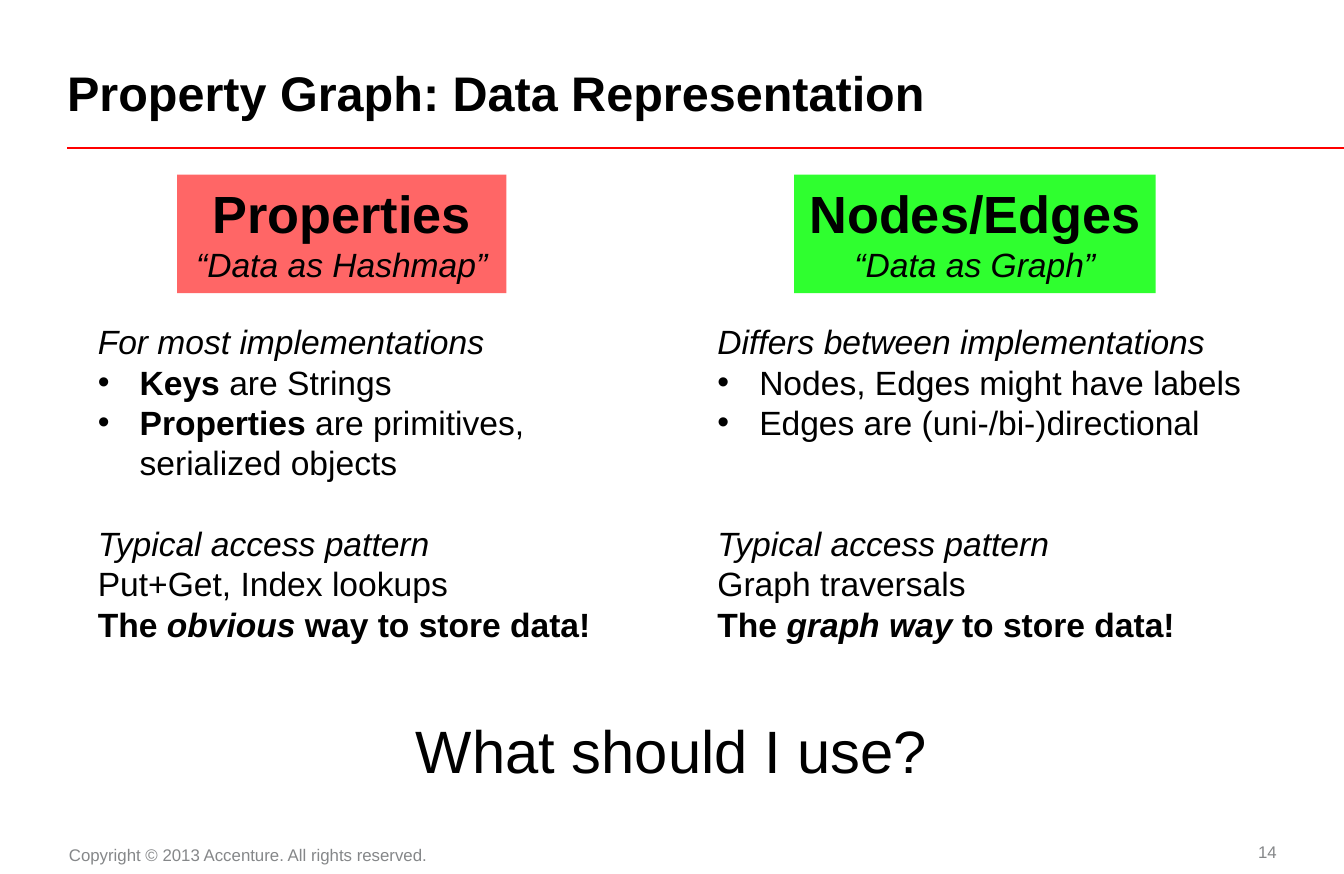
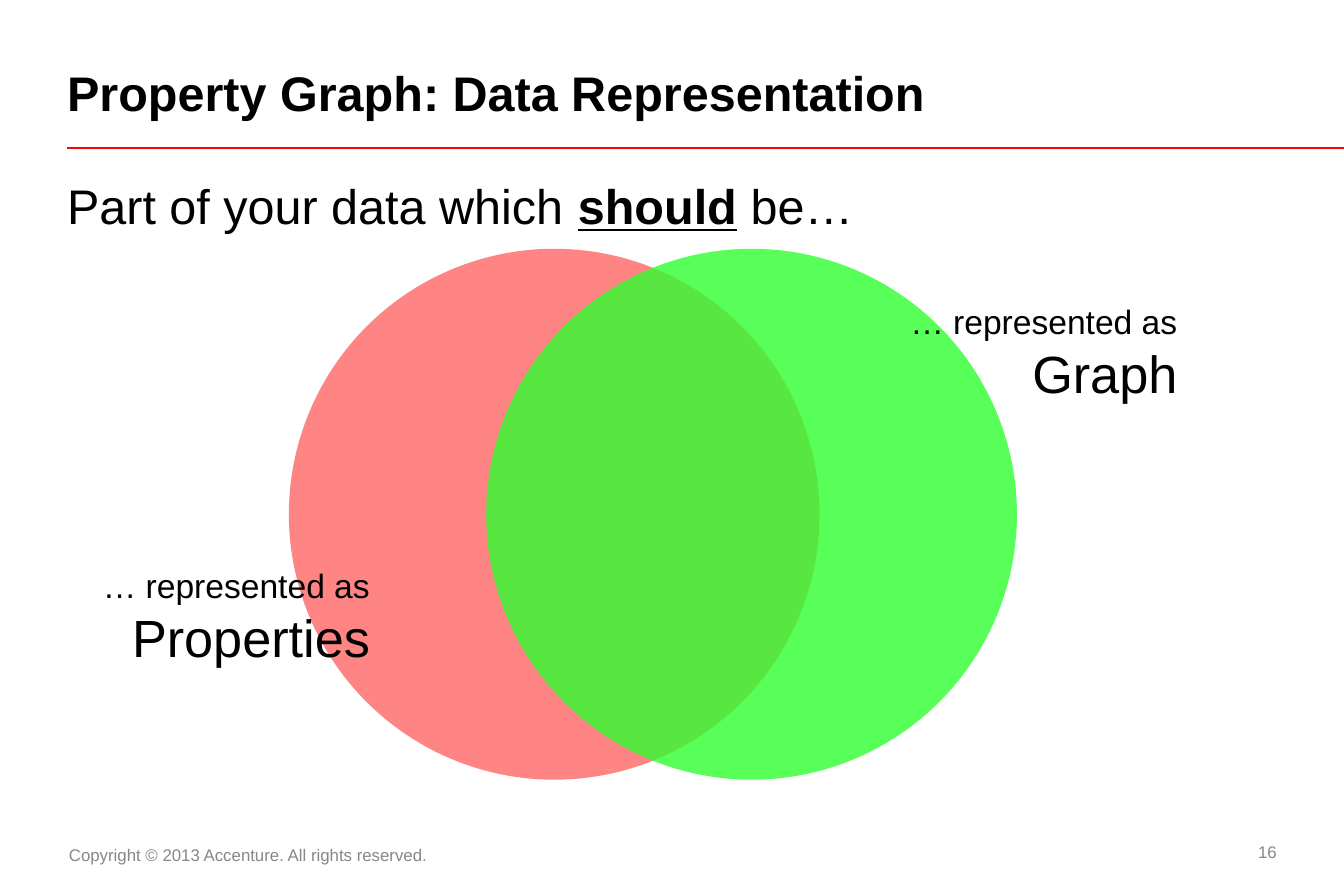
from dataclasses import dataclass

from lxml import etree
from pptx import Presentation
from pptx import util as u
from pptx.dml.color import RGBColor
from pptx.enum import shapes, text
from pptx.oxml.ns import qn

FONT = "Arial"
BLACK, GREY, RULE_RED = "000000", "858789", "FF0000"
PROPERTIES_RED, GRAPH_GREEN = "FF6666", "2FFF2F"
LEFT, CENTER, RIGHT = text.PP_ALIGN.LEFT, text.PP_ALIGN.CENTER, text.PP_ALIGN.RIGHT
TOP, MIDDLE, BOTTOM = text.MSO_ANCHOR.TOP, text.MSO_ANCHOR.MIDDLE, text.MSO_ANCHOR.BOTTOM
PAGE_WIDTH, PAGE_HEIGHT = 25.4, 16.51
MARGIN = 1.27
BODY_WIDTH = PAGE_WIDTH - 2 * MARGIN
BULLET_INDENT = 0.79
NO_INSETS = (0, 0, 0, 0)
TEXT_INSETS = (0.25, 0.13, 0.25, 0.13)
TITLE = "Property Graph: Data Representation"
COPYRIGHT = "Copyright © 2013 Accenture. All rights reserved."


@dataclass(frozen=True)
class Box:
    """Position and size in centimetres."""
    left: float
    top: float
    width: float
    height: float

    def lengths(self) -> list:
        return [u.Cm(value) for value in (self.left, self.top, self.width, self.height)]


@dataclass(frozen=True)
class Run:
    words: str
    size: float = 18
    bold: bool = False
    italic: bool = False
    underline: bool = False
    color: str = BLACK


@dataclass(frozen=True)
class Line:
    runs: tuple
    align: text.PP_ALIGN = LEFT
    bullet: bool = False
    space_before: float = 0
    spacing: float = 0


@dataclass(frozen=True)
class Column:
    """One way to represent data: a coloured heading above its details."""
    heading: str
    motto: str
    color: str
    heading_box: Box
    details_left: float
    details: tuple


@dataclass(frozen=True)
class Circle:
    color: str
    left: float
    label: str
    label_box: Box


def rgb(color: str) -> RGBColor:
    return RGBColor.from_string(color)


def add_bullet(paragraph) -> None:
    properties = paragraph._p.get_or_add_pPr()
    indent = u.Cm(BULLET_INDENT)
    properties.set("marL", str(indent))
    properties.set("indent", str(-indent))
    etree.SubElement(properties, qn("a:buFont")).set("typeface", FONT)
    etree.SubElement(properties, qn("a:buChar")).set("char", "•")


def write(shape, lines: tuple, insets: tuple = TEXT_INSETS,
          anchor: text.MSO_ANCHOR = TOP, wrap: bool = True) -> None:
    frame = shape.text_frame
    frame.word_wrap = wrap
    frame.vertical_anchor = anchor
    (frame.margin_left, frame.margin_top,
     frame.margin_right, frame.margin_bottom) = [u.Cm(inset) for inset in insets]
    for index, line in enumerate(lines):
        paragraph = frame.add_paragraph() if index else frame.paragraphs[0]
        if line.bullet:
            add_bullet(paragraph)
        paragraph.alignment = line.align
        if line.space_before:
            paragraph.space_before = u.Pt(line.space_before)
        if line.spacing:
            paragraph.line_spacing = u.Pt(line.spacing)
        for item in line.runs:
            run = paragraph.add_run()
            run.text = item.words
            font = run.font
            font.name, font.size = FONT, u.Pt(item.size)
            font.bold, font.italic, font.underline = item.bold, item.italic, item.underline
            font.color.rgb = rgb(item.color)


def add_text(slide, box: Box, lines: tuple, insets: tuple = TEXT_INSETS,
             anchor: text.MSO_ANCHOR = TOP) -> None:
    write(slide.shapes.add_textbox(*box.lengths()), lines, insets, anchor)


def add_filled(slide, kind: shapes.MSO_SHAPE, box: Box, color: str, opacity: int = 100):
    shape = slide.shapes.add_shape(kind, *box.lengths())
    shape.shadow.inherit = False
    shape.line.fill.background()
    shape.fill.solid()
    shape.fill.fore_color.rgb = rgb(color)
    if opacity < 100:
        fill_color = shape._element.spPr.find(qn("a:solidFill"))[0]
        etree.SubElement(fill_color, qn("a:alpha")).set("val", str(opacity * 1000))
    return shape


def add_page(presentation, number: int):
    """Add a slide with the shared title, rule and footer."""
    slide = presentation.slides.add_slide(presentation.slide_layouts[6])
    rule = slide.shapes.add_connector(
        shapes.MSO_CONNECTOR.STRAIGHT, u.Cm(MARGIN), u.Cm(2.79), u.Cm(PAGE_WIDTH), u.Cm(2.79))
    rule.line.color.rgb = rgb(RULE_RED)
    rule.line.width = u.Pt(1)
    etree.SubElement(rule._element.spPr, qn("a:effectLst"))
    add_text(slide, Box(1.24, 15.82, 7.14, 0.64),
             (Line((Run(COPYRIGHT, 9, color=GREY),), CENTER),), (0, 0.13, 0.25, 0.13))
    add_text(slide, Box(22.63, 15.8, 1.5, 0.58),
             (Line((Run(str(number), 9, color=GREY),), RIGHT),), NO_INSETS, MIDDLE)
    add_text(slide, Box(MARGIN, 0.41, 22.78, 1.88),
             (Line((Run(TITLE, 26, bold=True),), spacing=26),), NO_INSETS, BOTTOM)
    return slide


def access_pattern(usage: str, emphasis: str, ending: str, gap: float) -> tuple:
    return (
        Line((Run("Typical access pattern", italic=True),), space_before=gap),
        Line((Run(usage),)),
        Line((Run("The ", bold=True), Run(emphasis, bold=True, italic=True),
              Run(ending, bold=True))),
    )


COLUMNS = (
    Column("Properties", "“Data as Hashmap”", PROPERTIES_RED, Box(3.35, 3.3, 6.22, 2.24), 1.6, (
        Line((Run("For most implementations", italic=True),)),
        Line((Run("Keys", bold=True), Run(" are Strings")), bullet=True),
        Line((Run("Properties", bold=True), Run(" are primitives, serialized objects")),
             bullet=True),
        *access_pattern("Put+Get, Index lookups", "obvious", " way to store data!", 21.6),
    )),
    Column("Nodes/Edges", "“Data as Graph”", GRAPH_GREEN, Box(15.01, 3.3, 6.83, 2.24), 13.31, (
        Line((Run("Differs between implementations", italic=True),)),
        Line((Run("Nodes, Edges might have labels"),), bullet=True),
        Line((Run("Edges are (uni-/bi-)directional"),), bullet=True),
        *access_pattern("Graph traversals", "graph way", " to store data!", 43.2),
    )),
)

CIRCLES = (
    Circle(PROPERTIES_RED, 5.46, "Properties", Box(1.6, 10.54, 5.64, 2.24)),
    Circle(GRAPH_GREEN, 9.19, "Graph", Box(16.89, 5.56, 5.61, 2.24)),
)


def build_comparison(presentation) -> None:
    slide = add_page(presentation, 14)
    for column in COLUMNS:
        heading = add_filled(slide, shapes.MSO_SHAPE.RECTANGLE, column.heading_box, column.color)
        write(heading, (Line((Run(column.heading, 28, bold=True),), CENTER),
                        Line((Run(column.motto, italic=True),), CENTER)), wrap=False)
        add_text(slide, Box(column.details_left, 5.94, 10.46, 6.4), column.details)
    add_text(slide, Box(MARGIN, 13.49, BODY_WIDTH, 1.45),
             (Line((Run("What should I use?", 32),), CENTER),), NO_INSETS)


def build_overlap(presentation) -> None:
    slide = add_page(presentation, 16)
    add_text(slide, Box(MARGIN, 3.33, BODY_WIDTH, 1.19),
             (Line((Run("Part of your data which ", 26),
                    Run("should", 26, bold=True, underline=True), Run(" be…", 26))),),
             NO_INSETS)
    for circle in CIRCLES:
        add_filled(slide, shapes.MSO_SHAPE.OVAL, Box(circle.left, 4.7, 10.03, 10.03),
                   circle.color, opacity=80)
    for circle in CIRCLES:
        add_text(slide, circle.label_box, (Line((Run("… represented as"),), RIGHT),
                                           Line((Run(circle.label, 28),), RIGHT)))


def main() -> None:
    presentation = Presentation()
    presentation.slide_width, presentation.slide_height = u.Cm(PAGE_WIDTH), u.Cm(PAGE_HEIGHT)
    build_comparison(presentation)
    build_overlap(presentation)
    presentation.save("out.pptx")


if __name__ == "__main__":
    main()
